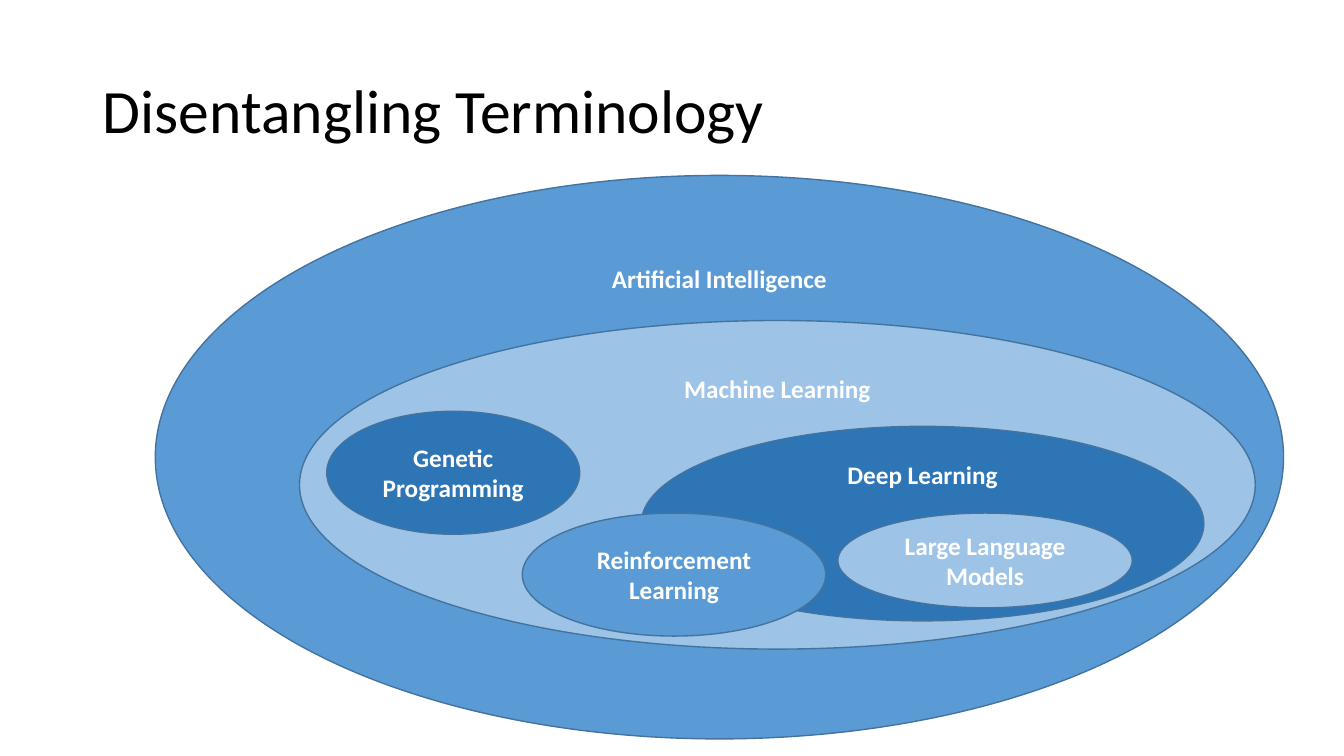
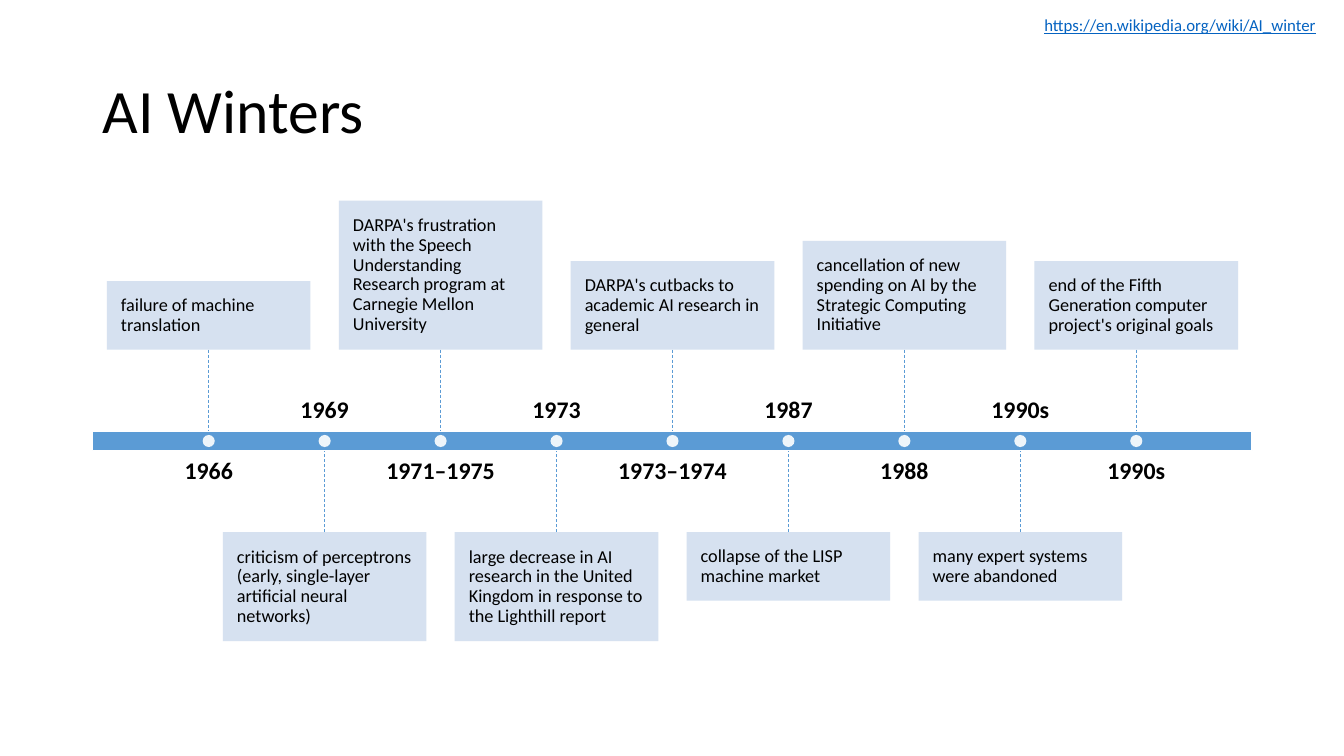
import dataclasses

import lxml.etree
import pptx
import pptx.dml.color
import pptx.enum.dml
import pptx.enum.shapes
import pptx.enum.text
import pptx.oxml.ns
import pptx.util

Inches = pptx.util.Inches
ALIGN = pptx.enum.text.PP_ALIGN
ANCHOR = pptx.enum.text.MSO_ANCHOR
SHAPE = pptx.enum.shapes.MSO_SHAPE


@dataclasses.dataclass(frozen=True)
class Theme:
    font: str = "Calibri"
    black: str = "000000"
    white: str = "FFFFFF"
    blue: str = "5B9BD5"
    light_blue: str = "9DC3E6"
    dark_blue: str = "2E75B6"
    outline: str = "43739E"
    card: str = "D2DEEF"
    link: str = "0563C1"
    opacity: int = 90
    title_size: int = 44
    set_size: int = 18
    year_size: int = 17
    card_size: int = 13
    link_size: int = 12


THEME = Theme()

TERMS = [
    ("Artificial Intelligence", (1.54, 1.74, 11.19, 5.59), THEME.blue, ANCHOR.TOP),
    ("Machine Learning", (2.97, 3.18, 9.48, 3.26), THEME.light_blue, ANCHOR.TOP),
    ("Deep Learning", (6.36, 4.23, 5.58, 1.93), THEME.dark_blue, ANCHOR.TOP),
    ("Genetic Programming", (3.24, 4.08, 2.51, 1.22), THEME.dark_blue, ANCHOR.MIDDLE),
    ("Large Language Models", (8.31, 5.09, 2.92, 0.94), THEME.light_blue, ANCHOR.MIDDLE),
    ("Reinforcement Learning", (5.18, 5.09, 3.01, 1.22), THEME.blue, ANCHOR.MIDDLE),
]

EVENTS = [
    ("1966", "failure of machine translation", 2),
    ("1969", "criticism of perceptrons (early, single-layer artificial neural networks)", 4),
    ("1971–1975", "DARPA's frustration with the Speech Understanding Research program "
     "at Carnegie Mellon University", 6),
    ("1973", "large decrease in AI research in the United Kingdom in response to "
     "the Lighthill report", 4),
    ("1973–1974", "DARPA's cutbacks to academic AI research in general", 3),
    ("1987", "collapse of the LISP machine market", 2),
    ("1988", "cancellation of new spending on AI by the Strategic Computing Initiative", 4),
    ("1990s", "many expert systems were abandoned", 2),
    ("1990s", "end of the Fifth Generation computer project's original goals", 3),
]

BAR_LEFT, BAR_TOP, BAR_WIDTH, BAR_HEIGHT = 0.92, 4.28, 11.5, 0.19
BAR_BOTTOM = BAR_TOP + BAR_HEIGHT
EVENT_STEP = BAR_WIDTH / (len(EVENTS) + 1)
STEM_LENGTH = 0.81
CARD_WIDTH, CARD_MARGIN, CARD_LINE = 2.02, 0.14, 0.2
YEAR_WIDTH, YEAR_HEIGHT, YEAR_GAP = 1.84, 0.54, 0.08
DOT_SIZE = 0.12


def rgb(color):
    return pptx.dml.color.RGBColor.from_string(color)


def write_text(shape, text, size, color, bold=False, align=ALIGN.LEFT,
               anchor=ANCHOR.TOP, margin=None, spacing=None):
    frame = shape.text_frame
    frame.word_wrap = True
    frame.vertical_anchor = anchor
    if margin is not None:
        frame.margin_left = frame.margin_right = Inches(margin)
        frame.margin_top = frame.margin_bottom = Inches(margin)
    frame.text = text
    paragraph = frame.paragraphs[0]
    paragraph.alignment = align
    paragraph.line_spacing = spacing
    paragraph.font.name = THEME.font
    paragraph.font.size = pptx.util.Pt(size)
    paragraph.font.bold = bold
    paragraph.font.color.rgb = rgb(color)
    return paragraph


def add_filled_shape(slide, kind, box, fill, line=None):
    shape = slide.shapes.add_shape(kind, *map(Inches, box))
    shape.shadow.inherit = False
    shape.fill.solid()
    shape.fill.fore_color.rgb = rgb(fill)
    if line:
        shape.line.color.rgb = rgb(line)
        shape.line.width = pptx.util.Pt(1)
    else:
        shape.line.fill.background()
    return shape


def make_translucent(shape):
    tag = pptx.oxml.ns.qn("a:srgbClr")
    for color in shape.fill._xPr.iter(tag):
        alpha = lxml.etree.SubElement(color, pptx.oxml.ns.qn("a:alpha"))
        alpha.set("val", str(THEME.opacity * 1000))


def add_textbox(slide, box, text, size, color, **options):
    textbox = slide.shapes.add_textbox(*map(Inches, box))
    return write_text(textbox, text, size, color, **options)


def add_titled_slide(presentation, text):
    slide = presentation.slides.add_slide(presentation.slide_layouts[5])
    title = slide.shapes.title
    title.left, title.top, title.width, title.height = map(Inches, (0.92, 0.4, 11.5, 1.45))
    title.text_frame.auto_size = pptx.enum.text.MSO_AUTO_SIZE.NONE
    write_text(title, text, THEME.title_size, THEME.black,
               anchor=ANCHOR.MIDDLE, spacing=0.9)
    return slide


def add_term(slide, name, box, fill, anchor):
    ellipse = add_filled_shape(slide, SHAPE.OVAL, box, fill, THEME.outline)
    write_text(ellipse, name, THEME.set_size, THEME.white, bold=True,
               align=ALIGN.CENTER, anchor=anchor)


def add_stem(slide, card, site, center, card_edge, bar_edge):
    stem = slide.shapes.add_connector(
        pptx.enum.shapes.MSO_CONNECTOR.STRAIGHT,
        *map(Inches, (center, card_edge, center, bar_edge)))
    stem.begin_connect(card, site)
    stem.line.color.rgb = rgb(THEME.blue)
    stem.line.width = pptx.util.Pt(0.5)
    stem.line.dash_style = pptx.enum.dml.MSO_LINE.DASH
    properties = stem._element.spPr
    lxml.etree.SubElement(properties, pptx.oxml.ns.qn("a:effectLst"))


def add_event(slide, center, above, year, text, lines):
    card_height = 2 * CARD_MARGIN + lines * CARD_LINE
    if above:
        bar_edge, card_edge, site = BAR_TOP, BAR_TOP - STEM_LENGTH, 2
        card_top = card_edge - card_height
        year_top, year_anchor = BAR_BOTTOM + YEAR_GAP, ANCHOR.TOP
    else:
        bar_edge, card_edge, site = BAR_BOTTOM, BAR_BOTTOM + STEM_LENGTH, 0
        card_top = card_edge
        year_top, year_anchor = BAR_TOP - YEAR_GAP - YEAR_HEIGHT, ANCHOR.BOTTOM

    add_textbox(slide, (center - YEAR_WIDTH / 2, year_top, YEAR_WIDTH, YEAR_HEIGHT),
                year, THEME.year_size, THEME.black, bold=True, align=ALIGN.CENTER,
                anchor=year_anchor, margin=0, spacing=0.9)
    card = add_filled_shape(
        slide, SHAPE.RECTANGLE,
        (center - CARD_WIDTH / 2, card_top, CARD_WIDTH, card_height), THEME.card)
    make_translucent(card)
    write_text(card, text, THEME.card_size, THEME.black, anchor=ANCHOR.MIDDLE,
               margin=CARD_MARGIN, spacing=0.9)
    add_stem(slide, card, site, center, card_edge, bar_edge)
    dot_top = BAR_TOP + (BAR_HEIGHT - DOT_SIZE) / 2
    dot = add_filled_shape(slide, SHAPE.OVAL,
                           (center - DOT_SIZE / 2, dot_top, DOT_SIZE, DOT_SIZE), THEME.white)
    make_translucent(dot)


def add_terminology_slide(presentation):
    slide = add_titled_slide(presentation, "Disentangling Terminology")
    for term in TERMS:
        add_term(slide, *term)


def add_winters_slide(presentation):
    slide = add_titled_slide(presentation, "AI Winters")
    add_filled_shape(slide, SHAPE.RECTANGLE,
                     (BAR_LEFT, BAR_TOP, BAR_WIDTH, BAR_HEIGHT), THEME.blue, THEME.white)
    for index, event in enumerate(EVENTS):
        center = BAR_LEFT + EVENT_STEP * (index + 1)
        add_event(slide, center, index % 2 == 0, *event)
    address = add_textbox(slide, (10.26, 0.1, 3.07, 0.3),
                          "https://en.wikipedia.org/wiki/AI_winter",
                          THEME.link_size, THEME.link)
    address.font.underline = True


def main():
    presentation = pptx.Presentation()
    presentation.slide_width = Inches(13.33)
    presentation.slide_height = Inches(7.5)
    add_terminology_slide(presentation)
    add_winters_slide(presentation)
    presentation.save("out.pptx")


if __name__ == "__main__":
    main()
